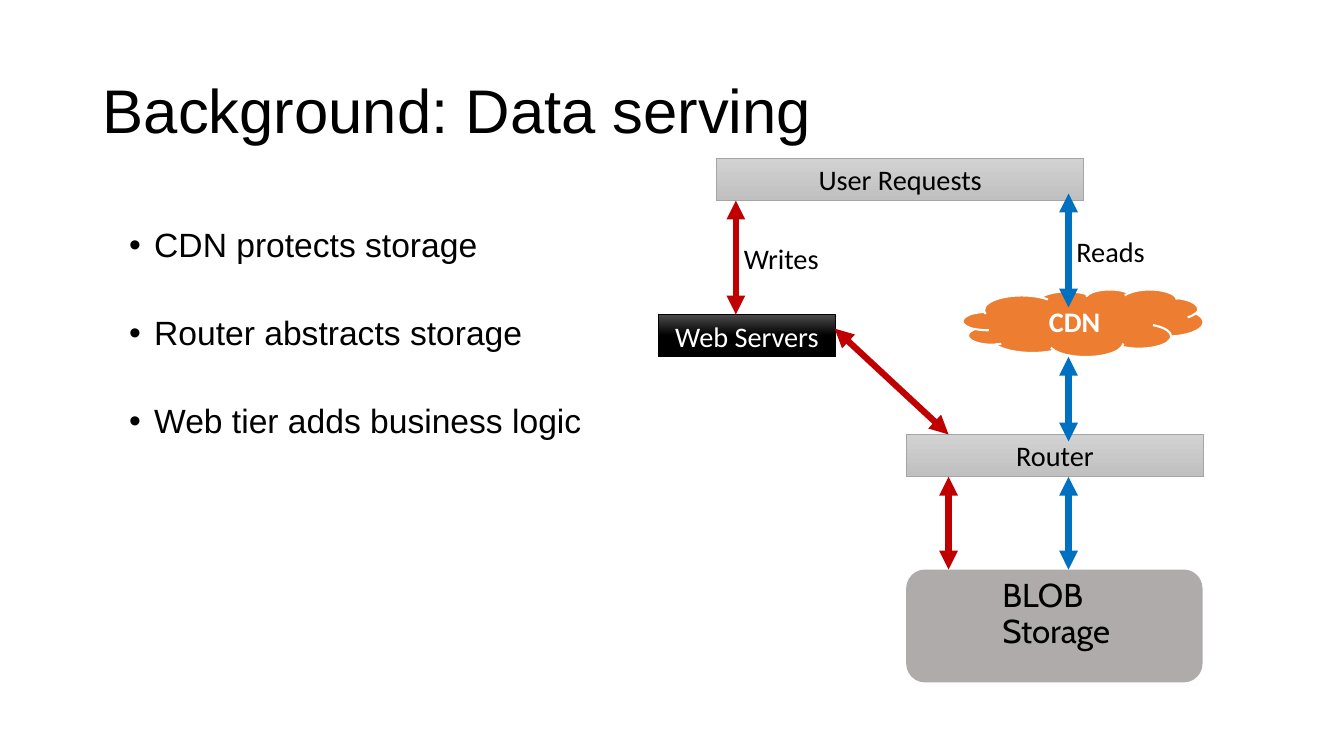
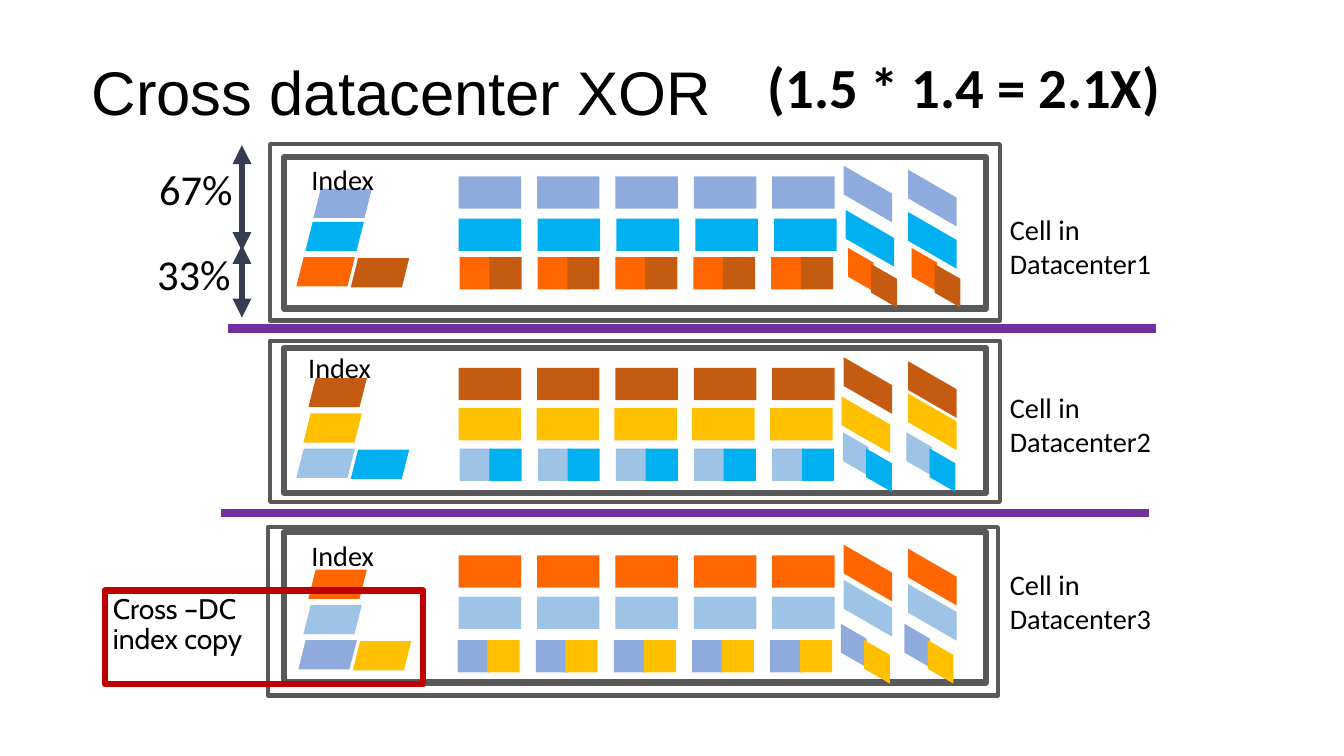
"""Build two slides on data serving and cross datacenter XOR coding."""
from dataclasses import dataclass, replace
from typing import NamedTuple, Optional

from lxml.etree import SubElement
from pptx import Presentation
from pptx.dml.color import RGBColor
from pptx.enum.shapes import MSO_CONNECTOR, MSO_SHAPE
from pptx.enum.text import MSO_ANCHOR, MSO_AUTO_SIZE, PP_ALIGN
from pptx.oxml.ns import qn
from pptx.util import Inches, Pt

CELL = Inches(0.1)
SLIDE_COLUMNS, SLIDE_ROWS = 133.33, 75

BLACK, WHITE = "000000", "FFFFFF"
RED, BLUE, PURPLE, NAVY, GRAY = "C00000", "0070C0", "7030A0", "333F50", "595959"
PERIWINKLE, CYAN, SKY = "8FAADC", "00B0F0", "9DC3E6"
ORANGE, BROWN, YELLOW = "FF6600", "C55A11", "FFC000"

BLOCKS_PER_ROW = 5
BLOCK_WIDTH, BLOCK_HEIGHT = 6.2, 3.2
HALF_WIDTH, HALF_OFFSET = 3.2, 2.95
PARITY_WIDTH, PARITY_DROP, PARITY_SIDE = 4.8, 2.77, 2.85
HALF_PARITY_SHARE = 0.53


class Box(NamedTuple):
    """Left, top, width and height in grid cells."""
    left: float
    top: float
    width: float
    height: float


@dataclass(frozen=True)
class TextStyle:
    """Look of the text in one shape."""
    size: float = 20.2
    font: str = "Calibri"
    color: str = BLACK
    bold: bool = False
    align: PP_ALIGN = PP_ALIGN.LEFT
    anchor: MSO_ANCHOR = MSO_ANCHOR.TOP
    spacing: Optional[float] = None


@dataclass(frozen=True)
class Arrow:
    """A straight line between two grid points."""
    x1: float
    y1: float
    x2: float
    y2: float
    color: str
    width: float = 4.5
    heads: bool = True


@dataclass(frozen=True)
class Tier:
    """A gradient bar of the serving diagram."""
    label: str
    box: Box
    shades: tuple[str, str]
    shade_end: float
    border: str
    text_color: str


@dataclass(frozen=True)
class Stripe:
    """One row of data blocks with its index and parity blocks."""
    colors: tuple[str, ...]
    top: float
    first: float
    last: float
    index: tuple[float, float]
    parity: tuple[tuple[float, float], tuple[float, float]]


@dataclass(frozen=True)
class Datacenter:
    """A framed cell holding three stripes."""
    outer: Box
    inner: Box
    index_label: tuple[float, float]
    name_top: float
    stripes: tuple[Stripe, ...]


LABEL = TextStyle()
CENTERED = replace(LABEL, align=PP_ALIGN.CENTER, anchor=MSO_ANCHOR.MIDDLE)
TITLE = TextStyle(44, "Arial", anchor=MSO_ANCHOR.MIDDLE, spacing=0.9)
BULLETS = TextStyle(24, "Arial", spacing=0.9)
PERCENT = TextStyle(30.4)
FORMULA = TextStyle(40.5, bold=True)
STORAGE = TextStyle(23.6, "Cabin", spacing=0.9)
INDEX_COPY = replace(STORAGE, size=20.2)

LIGHT = ("D2D2D2", "C0C0C0")
TIERS = (
    Tier("User Requests", Box(71.1, 15.7, 36.4, 4.2), LIGHT, 1, "A5A5A5", BLACK),
    Tier("Web Servers", Box(65.3, 31.2, 17.6, 4.2), ("4B4B4B", BLACK), 0.5, BLACK, WHITE),
    Tier("Router", Box(89.9, 43.1, 29.5, 4.2), LIGHT, 1, "A5A5A5", BLACK),
)
SERVING_ARROWS = (
    Arrow(73, 19.9, 73, 31.2, RED),
    Arrow(106, 19.2, 106, 30.5, BLUE),
    Arrow(82.8, 32.6, 94.1, 43.1, RED),
    Arrow(94.1, 47.3, 94.1, 56.5, RED),
    Arrow(106, 35.4, 106, 43.8, BLUE),
    Arrow(106, 47.3, 106, 56.5, BLUE),
)
XOR_LINES = (
    Arrow(22.6, 32.6, 114.7, 32.6, PURPLE, 6, False),
    Arrow(21.9, 50.9, 114, 50.9, PURPLE, 6, False),
    Arrow(24, 14.4, 24, 24.9, NAVY),
    Arrow(24, 24.3, 24, 31.5, NAVY),
)
DATACENTERS = (
    Datacenter(Box(26.8, 14.3, 72.4, 17.5), Box(28.2, 15.6, 69.6, 15), (29.9, 15.6), 20.6, (
        Stripe((PERIWINKLE,), 17.5, 45.5, 76.6, (31.1, 18.7), ((86.1, 19.25), (92.5, 19.65))),
        Stripe((CYAN,), 21.7, 45.5, 76.8, (30.3, 22), ((86.3, 23.65), (92.5, 23.85))),
        Stripe((ORANGE, BROWN), 25.5, 45.6, 76.5, (29.4, 25.5), ((85.4, 26.75), (91.7, 26.75))),
    )),
    Datacenter(Box(26.8, 33.8, 72.4, 16), Box(28.2, 34.5, 69.6, 14.4), (29.6, 34.3), 38.2, (
        Stripe((BROWN,), 36.5, 45.5, 76.6, (30.6, 37.5), ((86.1, 38.25), (92.5, 38.65))),
        Stripe((YELLOW,), 40.5, 45.5, 76.4, (30.1, 41), ((85.9, 42.15), (92.5, 41.85))),
        Stripe((SKY, CYAN), 44.5, 45.6, 76.6, (29.4, 44.5), ((84.9, 45.05), (91.2, 45.05))),
    )),
    Datacenter(Box(26.6, 52.3, 72.4, 16.7), Box(28.2, 52.8, 69.6, 14.9), (29.9, 52.9), 55.8, (
        Stripe((ORANGE,), 55.1, 45.5, 76.6, (30.6, 56.5), ((86.1, 56.85), (92.5, 57.25))),
        Stripe((SKY,), 59.2, 45.5, 76.6, (30.1, 60), ((86.1, 60.35), (92.5, 60.75))),
        Stripe((PERIWINKLE, YELLOW), 63.5, 45.4, 76.4, (29.6, 63.5), ((84.7, 64.05), (91, 64.05))),
    )),
)


def rgb(code: str) -> RGBColor:
    """Turn a hex string into a colour."""
    return RGBColor.from_string(code)


def cells(*counts: float) -> list[int]:
    """Turn grid cells into slide units."""
    return [round(count * CELL) for count in counts]


def write(shape, text: str, style: TextStyle, wrap: bool = True) -> None:
    """Put styled text into a shape."""
    frame = shape.text_frame
    frame.text = text
    frame.auto_size = MSO_AUTO_SIZE.NONE
    frame.word_wrap = wrap
    frame.vertical_anchor = style.anchor
    for paragraph in frame.paragraphs:
        paragraph.alignment = style.align
        if style.spacing:
            paragraph.line_spacing = style.spacing
        for run in paragraph.runs:
            run.font.size = Pt(style.size)
            run.font.name = style.font
            run.font.bold = style.bold
            run.font.color.rgb = rgb(style.color)


def tighten(shape) -> None:
    """Use narrow insets inside a shape."""
    frame = shape.text_frame
    frame.margin_left = frame.margin_right = Inches(0.08)
    frame.margin_top = frame.margin_bottom = Inches(0.04)


def paint(shape, fill: Optional[str], line: Optional[str], width: float) -> None:
    """Set fill and outline and drop the shadow."""
    shape.shadow.inherit = False
    if fill:
        shape.fill.solid()
        shape.fill.fore_color.rgb = rgb(fill)
    else:
        shape.fill.background()
    if line:
        shape.line.color.rgb = rgb(line)
        shape.line.width = Pt(width)
    else:
        shape.line.fill.background()


def add_box(slide, kind: MSO_SHAPE, box: Box, fill: Optional[str] = None,
            line: Optional[str] = None, width: float = 1):
    """Draw a preset shape on the grid."""
    shape = slide.shapes.add_shape(kind, *cells(*box))
    paint(shape, fill, line, width)
    return shape


def add_label(slide, text: str, box: Box, style: TextStyle = LABEL) -> None:
    """Add a free text label."""
    write(slide.shapes.add_textbox(*cells(*box)), text, style, wrap=False)


def add_arrow(slide, arrow: Arrow) -> None:
    """Draw a line, with a triangle at both ends if asked."""
    ends = cells(arrow.x1, arrow.y1, arrow.x2, arrow.y2)
    connector = slide.shapes.add_connector(MSO_CONNECTOR.STRAIGHT, *ends)
    connector.line.color.rgb = rgb(arrow.color)
    connector.line.width = Pt(arrow.width)
    if arrow.heads:
        outline = connector.line._get_or_add_ln()
        for end in ("a:headEnd", "a:tailEnd"):
            SubElement(outline, qn(end), type="triangle")
    SubElement(connector._element.spPr, qn("a:effectLst"))


def add_titled_slide(deck, layout: int, title: str, box: Box):
    """Add a slide with its title in place."""
    slide = deck.slides.add_slide(deck.slide_layouts[layout])
    place(slide.shapes.title, box)
    write(slide.shapes.title, title, TITLE)
    return slide


def place(placeholder, box: Box) -> None:
    """Move a placeholder to a grid box."""
    (placeholder.left, placeholder.top,
     placeholder.width, placeholder.height) = cells(*box)


def add_bullets(body, points: list[str]) -> None:
    """Fill the body placeholder with a spaced bullet list."""
    body.text_frame.text = "\n".join(points)
    write(body, body.text_frame.text, BULLETS)
    for number, paragraph in enumerate(body.text_frame.paragraphs):
        properties = paragraph._p.get_or_add_pPr()
        properties.set("marL", str(Inches(0.75)))
        properties.set("indent", str(-Inches(0.25)))
        SubElement(properties, qn("a:buFont"), typeface="Arial")
        SubElement(properties, qn("a:buChar"), char="•")
        paragraph.space_before = Pt(37 if number else 0)


def add_tier(slide, tier: Tier) -> None:
    """Draw a gradient bar with its label."""
    bar = add_box(slide, MSO_SHAPE.RECTANGLE, tier.box, line=tier.border, width=0.5)
    bar.fill.gradient()
    bar.fill.gradient_angle = 270
    stops = bar.fill.gradient_stops
    for stop, shade, position in zip(stops, tier.shades, (0, tier.shade_end)):
        stop.color.rgb = rgb(shade)
        stop.position = position
    write(bar, tier.label, replace(CENTERED, color=tier.text_color))


def add_parity(slide, center: tuple[float, float], color: str, share: float) -> None:
    """Draw a slanted parity block around its center."""
    width, drop = PARITY_WIDTH * share, PARITY_DROP * share
    left, top = center[0] - width / 2, center[1] - (drop + PARITY_SIDE) / 2
    right, bottom = left + width, top + PARITY_SIDE
    outline = slide.shapes.build_freeform(*cells(left, top), scale=1.0)
    outline.add_line_segments([cells(right, top + drop), cells(right, bottom + drop),
                               cells(left, bottom)])
    paint(outline.convert_to_shape(), color, None, 0)


def add_stripe(slide, stripe: Stripe) -> None:
    """Draw data, parity and index blocks of one stripe."""
    halved = len(stripe.colors) > 1
    width = HALF_WIDTH if halved else BLOCK_WIDTH
    step = (stripe.last - stripe.first) / (BLOCKS_PER_ROW - 1)
    for column in range(BLOCKS_PER_ROW):
        for part, color in enumerate(stripe.colors):
            left = stripe.first + column * step + part * HALF_OFFSET
            add_box(slide, MSO_SHAPE.RECTANGLE, Box(left, stripe.top, width, BLOCK_HEIGHT), color)
    for x, y in stripe.parity:
        for part, color in enumerate(stripe.colors):
            add_parity(slide, (x + part * 2.3, y + part * 1.6), color,
                       HALF_PARITY_SHARE if halved else 1)
    left, top = stripe.index
    for part, color in enumerate(stripe.colors):
        add_box(slide, MSO_SHAPE.PARALLELOGRAM,
                Box(left + part * 5.4, top + part * 0.1, 5.8, 2.9), color)


def add_datacenter(slide, number: int, center: Datacenter) -> None:
    """Draw a framed datacenter with its stripes and labels."""
    for frame, width in ((center.outer, 3), (center.inner, 4.5)):
        add_box(slide, MSO_SHAPE.RECTANGLE, frame, line=GRAY, width=width)
    for stripe in center.stripes:
        add_stripe(slide, stripe)
    add_label(slide, f"Cell in\nDatacenter{number}", Box(99.2, center.name_top, 16.2, 7.8))
    add_label(slide, "Index", Box(*center.index_label, 8.3, 4.4))


def build_serving(deck) -> None:
    """Build the data serving slide."""
    slide = add_titled_slide(deck, 1, "Background: Data serving", Box(9.2, 4, 115, 14.5))
    body = slide.placeholders[1]
    place(body, Box(6.8, 22.2, 58, 31.6))
    add_bullets(body, ["CDN protects storage", "Router abstracts storage",
                       "Web tier adds business logic"])
    for tier in TIERS:
        add_tier(slide, tier)
    cdn = add_box(slide, MSO_SHAPE.CLOUD, Box(95.5, 28.7, 23.9, 6.7), "ED7D31", WHITE, 1.5)
    write(cdn, "CDN", replace(CENTERED, color=WHITE, bold=True))
    storage = add_box(slide, MSO_SHAPE.ROUNDED_RECTANGLE, Box(89.9, 56.5, 29.4, 11.2), "AFABAB")
    write(storage, "BLOB\nStorage", STORAGE)
    tighten(storage)
    storage.text_frame.margin_left = Inches(0.9)
    for arrow in SERVING_ARROWS:
        add_arrow(slide, arrow)
    add_label(slide, "Writes", Box(72.8, 23.4, 9.5, 4.4))
    add_label(slide, "Reads", Box(105.8, 22.7, 8.9, 4.4))


def build_xor(deck) -> None:
    """Build the cross datacenter slide."""
    slide = add_titled_slide(deck, 5, "Cross datacenter XOR", Box(8.1, 2.2, 115, 14.5))
    for number, center in enumerate(DATACENTERS, 1):
        add_datacenter(slide, number, center)
    for line in XOR_LINES:
        add_arrow(slide, line)
    add_label(slide, "67%", Box(14.8, 15.7, 9.4, 6.1), PERCENT)
    add_label(slide, "33%", Box(14.6, 24.1, 9.4, 6.1), PERCENT)
    add_label(slide, "(1.5 * 1.4 = 2.1X)", Box(75.2, 4.6, 41.3, 7.8), FORMULA)
    index_copy = add_box(slide, MSO_SHAPE.RECTANGLE, Box(10.4, 58.6, 31.6, 9.3),
                         line=RED, width=4.5)
    write(index_copy, "Cross –DC\nindex copy", INDEX_COPY)
    tighten(index_copy)


def main() -> None:
    """Build and save the deck."""
    deck = Presentation()
    deck.slide_width, deck.slide_height = cells(SLIDE_COLUMNS, SLIDE_ROWS)
    build_serving(deck)
    build_xor(deck)
    deck.save("out.pptx")


if __name__ == "__main__":
    main()
